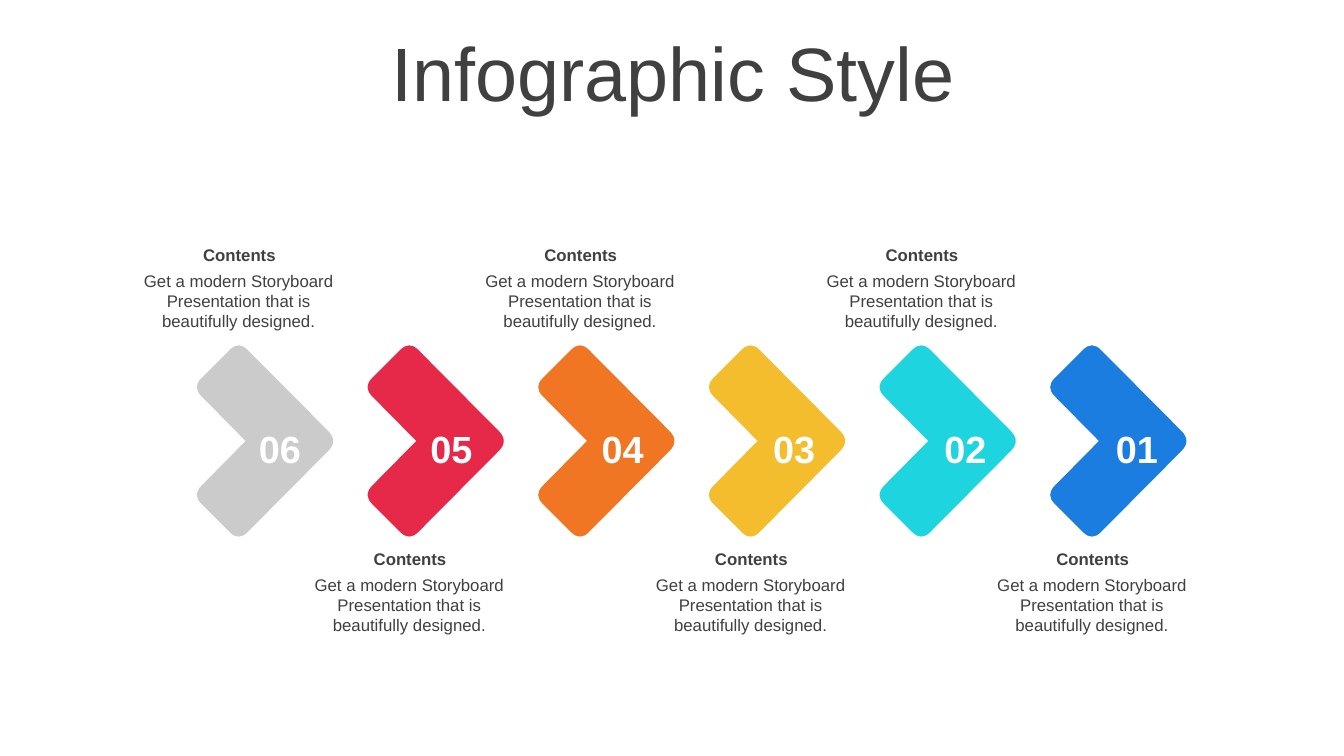
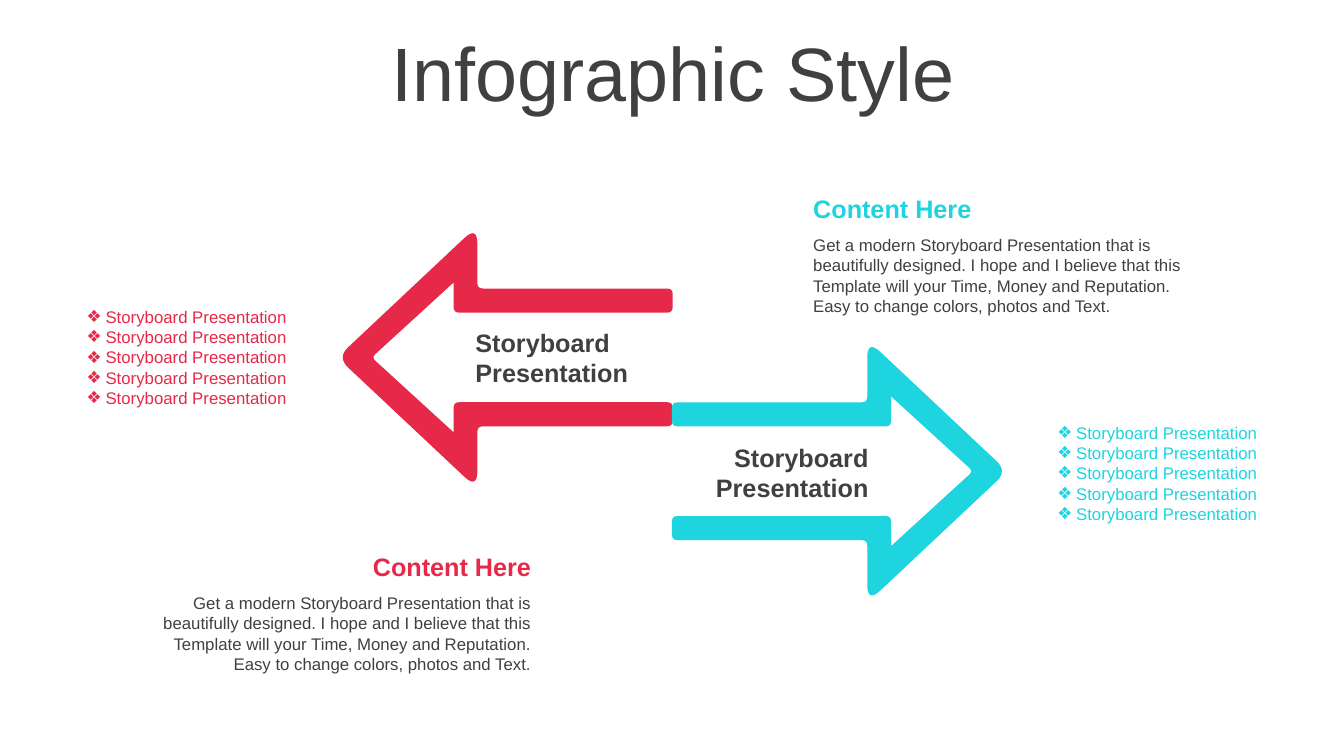
from math import dist

from lxml.etree import SubElement
from pptx import Presentation
from pptx.dml.color import RGBColor
from pptx.enum.text import MSO_ANCHOR, MSO_AUTO_SIZE, PP_ALIGN
from pptx.oxml.ns import qn
from pptx.util import Pt

COLORS = {
    "text": "404040",
    "white": "FFFFFF",
    "gray": "CBCBCB",
    "red": "E62949",
    "orange": "F07624",
    "yellow": "F4BD2D",
    "cyan": "1ED4DE",
    "blue": "1C7DE1",
}
FONT = "Arial"


def write_text(box, lines, size, color="text", bold=False, align=PP_ALIGN.LEFT,
               anchor=MSO_ANCHOR.TOP, inset=True, bullet=None):
    frame = box.text_frame
    frame.word_wrap = True
    frame.auto_size = MSO_AUTO_SIZE.NONE
    frame.vertical_anchor = anchor
    if not inset:
        frame.margin_left = frame.margin_right = frame.margin_top = frame.margin_bottom = 0
    for index, line in enumerate(lines):
        paragraph = frame.add_paragraph() if index else frame.paragraphs[0]
        if bullet:
            properties = paragraph._p.get_or_add_pPr()
            properties.set("marL", str(Pt(13.5)))
            properties.set("indent", str(Pt(-13.5)))
            SubElement(properties, qn("a:buChar")).set("char", bullet)
        paragraph.alignment = align
        paragraph.space_before = Pt(0)
        span = paragraph.add_run()
        span.text = line
        span.font.name = FONT
        span.font.size = Pt(size)
        span.font.bold = bold
        span.font.color.rgb = RGBColor.from_string(COLORS[color])


def add_rounded_outline(page, corners, color):
    points, curve_starts = [], []
    for index, (x, y, cut) in enumerate(corners):
        if not cut:
            points.append((Pt(x), Pt(y)))
            continue
        curve_starts.append(len(points))
        before = corners[index - 1]
        after = corners[(index + 1) % len(corners)]
        for other, reach in ((before, cut), (before, cut / 3), (after, cut / 3), (after, cut)):
            share = reach / dist((x, y), other[:2])
            points.append((Pt(x + (other[0] - x) * share), Pt(y + (other[1] - y) * share)))
    builder = page.shapes.build_freeform(*points[0])
    builder.add_line_segments(points[1:], close=True)
    shape = builder.convert_to_shape()
    segments = list(shape._element.iter(qn("a:moveTo"), qn("a:lnTo")))
    for start in curve_starts:
        first, second, last = segments[start + 1:start + 4]
        first.tag = qn("a:cubicBezTo")
        for segment in (second, last):
            first.append(segment[0])
            segment.getparent().remove(segment)
    shape.shadow.inherit = False
    shape.fill.solid()
    shape.fill.fore_color.rgb = RGBColor.from_string(COLORS[color])
    shape.line.fill.background()


deck = Presentation()
deck.slide_width, deck.slide_height = Pt(960), Pt(540)
steps_page = deck.slides.add_slide(deck.slide_layouts[5])
arrows_page = deck.slides.add_slide(deck.slide_layouts[3])

for page in deck.slides:
    title = page.shapes.title
    title.left, title.top, title.width, title.height = map(Pt, (25, 26.5, 911.5, 57))
    write_text(title, ["Infographic Style"], 54, align=PP_ALIGN.CENTER,
               anchor=MSO_ANCHOR.MIDDLE)
    title.text_frame.paragraphs[0].line_spacing = 0.9

STEP_TEXT = "Get a modern Storyboard Presentation that is beautifully designed."
CHEVRON = [(137.5, 276.5), (170.5, 243.5), (241.5, 315), (170.5, 386.5), (137.5, 353.5), (175.5, 315)]
CHEVRON_CUTS = [9, 9, 10, 9, 9, 0]
step_colors = ["gray", "red", "orange", "yellow", "cyan", "blue"]

for index, color in enumerate(step_colors):
    shift = index * 121.9
    corners = [(x + shift, y, cut) for (x, y), cut in zip(CHEVRON, CHEVRON_CUTS)]
    add_rounded_outline(steps_page, corners, color)

    top = 392.2 if index % 2 else 175
    heading = steps_page.shapes.add_textbox(Pt(91.5 + shift), Pt(top), Pt(159), Pt(14.5))
    write_text(heading, ["Contents"], 12, bold=True, align=PP_ALIGN.CENTER, inset=False)
    detail = steps_page.shapes.add_textbox(Pt(91 + shift), Pt(top + 18.2), Pt(159), Pt(44))
    write_text(detail, [STEP_TEXT], 12, align=PP_ALIGN.CENTER, inset=False)

    number = steps_page.shapes.add_textbox(Pt(176.5 + index * 122.4), Pt(304), Pt(47), Pt(32.5))
    write_text(number, [f"{len(step_colors) - index:02d}"], 27, "white", True,
               PP_ALIGN.CENTER, inset=False)

ARROW_TEXT = ("Get a modern Storyboard Presentation that is beautifully designed. "
              "I hope and I believe that this Template will your Time, Money and "
              "Reputation. Easy to change colors, photos and Text.")
LABEL = "Storyboard Presentation"
MIDDLE = 255.3
lower_half = [(324, 53.5, 0), (324, 32, 4), (480.5, 32, 4), (480.5, 49.2, 4),
              (341, 49.2, 4), (341, 94, 13)]
left_arrow = [(265.5, MIDDLE, 3)]
left_arrow += [(x, MIDDLE + y, cut) for x, y, cut in lower_half]
left_arrow += [(241, MIDDLE, 10.5)]
left_arrow += [(x, MIDDLE - y, cut) for x, y, cut in reversed(lower_half)]
right_arrow = [(960.5 - x, y + 81.3, cut) for x, y, cut in left_arrow]

arrows = [
    ("red", left_arrow, PP_ALIGN.LEFT, PP_ALIGN.RIGHT, (332.5, 230), (32.5, 215.2), (102, 390)),
    ("cyan", right_arrow, PP_ALIGN.RIGHT, PP_ALIGN.LEFT, (485.5, 312.5), (748, 298), (573.8, 134.3)),
]
lists = [box for box in arrows_page.placeholders if box.placeholder_format.idx]

for bullets, arrow in zip(lists, arrows):
    color, corners, label_align, align, label_at, list_at, (left, top) = arrow
    add_rounded_outline(arrows_page, corners, color)
    label = arrows_page.shapes.add_textbox(*map(Pt, label_at), Pt(142), Pt(51))
    write_text(label, [LABEL], 18, bold=True, align=label_align)

    bullets.left, bullets.top = map(Pt, list_at)
    bullets.width, bullets.height = Pt(179.5), Pt(80)
    write_text(bullets, [LABEL] * 5, 12, color, align=align,
               anchor=MSO_ANCHOR.MIDDLE, bullet="❖")

    heading = arrows_page.shapes.add_textbox(Pt(left), Pt(top), Pt(284.5), Pt(29))
    write_text(heading, ["Content Here"], 18, color, True, align, MSO_ANCHOR.MIDDLE)
    detail = arrows_page.shapes.add_textbox(Pt(left), Pt(top + 30), Pt(284.5), Pt(65.5))
    write_text(detail, [ARROW_TEXT], 12, align=align)

deck.save("out.pptx")
